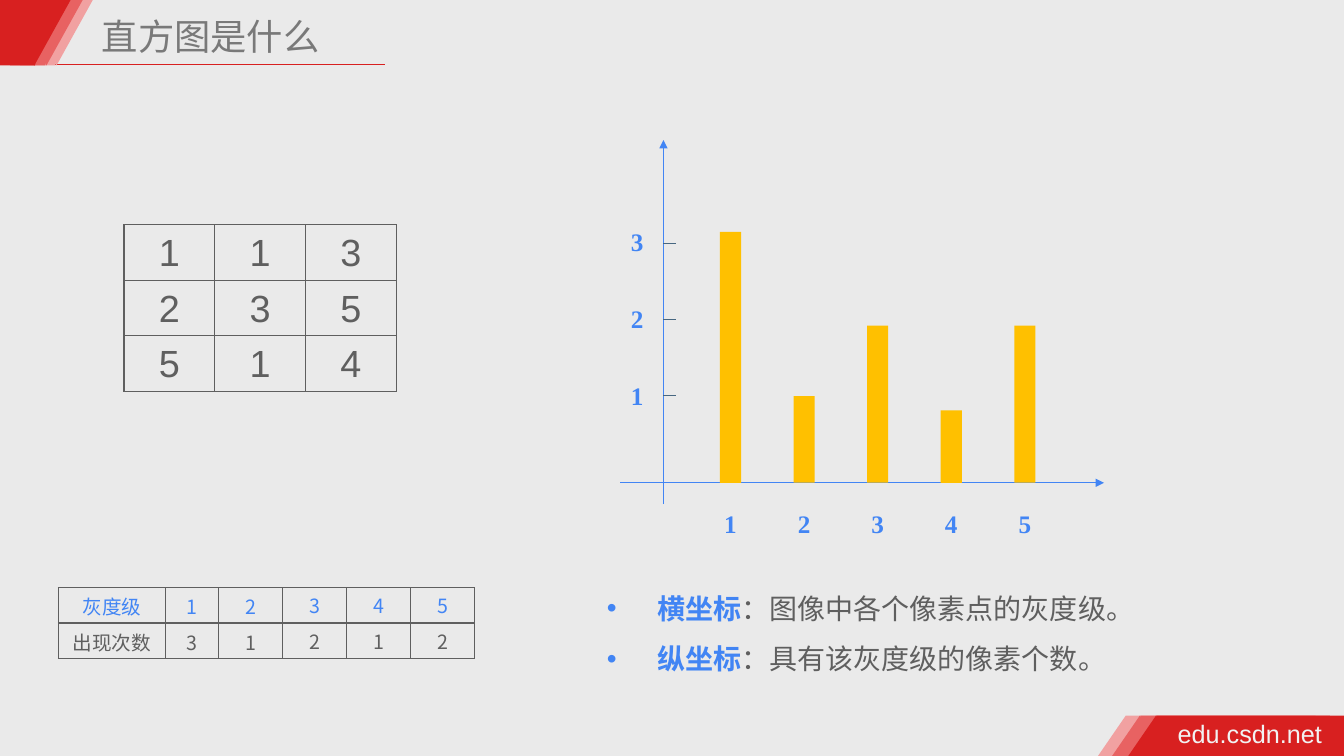
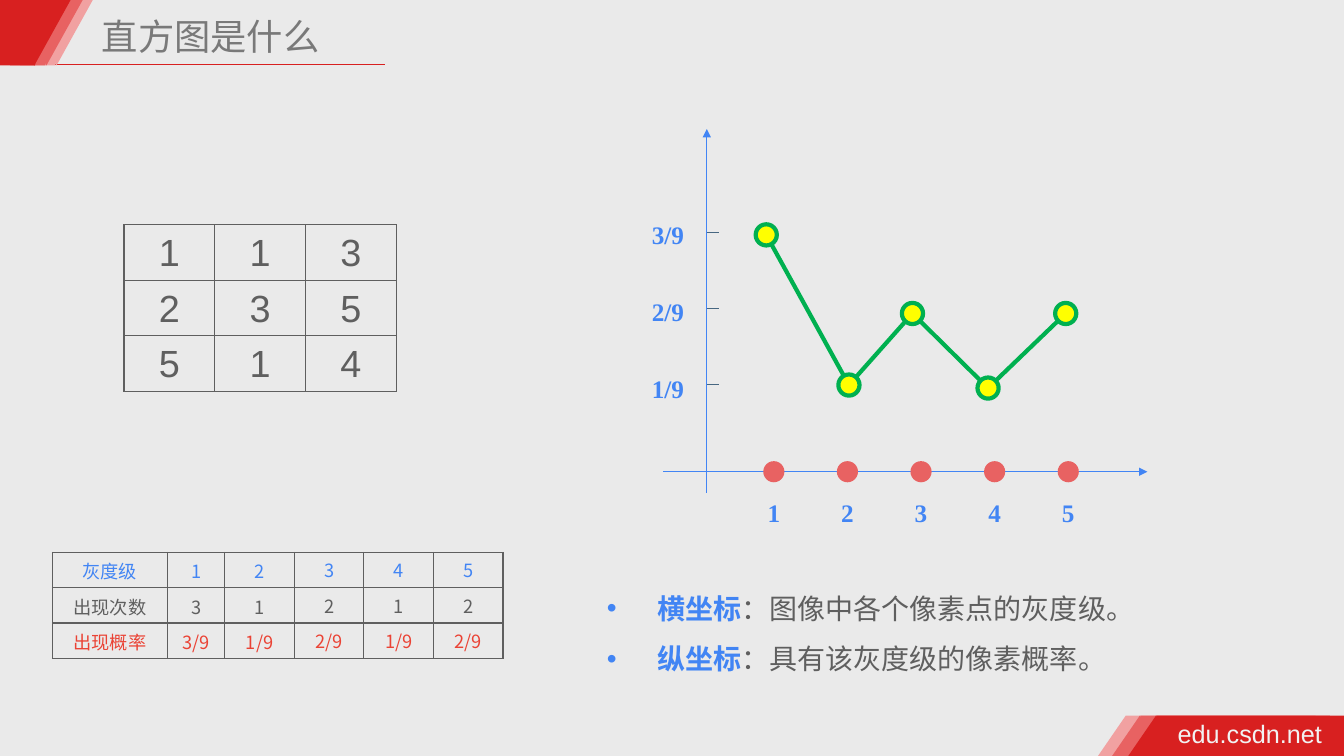
from dataclasses import dataclass

from lxml.etree import SubElement
from pptx import Presentation
from pptx.dml.color import RGBColor
from pptx.enum.shapes import MSO_CONNECTOR as Connector, MSO_SHAPE as Preset
from pptx.enum.text import MSO_ANCHOR as Anchor, PP_ALIGN as Align
from pptx.oxml.ns import qn
from pptx.util import Inches, Pt

Point = tuple[float, float]

# Shared look
BACKGROUND = "EAEAEA"
RED, MID_RED, PALE_RED = "D82020", "E86262", "F1A1A1"
BLUE, GREY, TITLE_GREY, TICK_BLUE = "4285F4", "5F5F5F", "797979", "476781"
AMBER, GREEN, YELLOW, ALERT, OFF_WHITE = "FFC000", "00B050", "FFFF00", "EA4335", "F2F2F2"
SANS, CHINESE, SERIF = "Arial", "Noto Sans CJK SC", "Times New Roman"

# Plot geometry, measured from the origin of the axes
FIRST_LEVEL, LEVEL_STEP = 0.665, 0.73
FIRST_TICK, TICK_STEP, TICK_LENGTH = 0.87, 0.75, 0.12
LABEL_STEP, LABEL_WIDTH, LABEL_HEIGHT = 0.76, 0.71, 0.4
MARK_SIZE = 0.21


@dataclass
class TextStyle:
    font: str
    size: float
    color: str
    bold: bool = False


@dataclass
class Grid:
    left: float
    top: float
    columns: list[float]
    row_height: float
    rows: list[list[str]]
    row_colors: list[str]
    font: str
    size: float


@dataclass
class Axes:
    x: float
    y: float
    tick_labels: list[str]
    label_offset: float
    label_rise: float

    def level_x(self, index: int) -> float:
        return self.x + FIRST_LEVEL + index * LEVEL_STEP


TITLE_STYLE = TextStyle(CHINESE, 25.9, TITLE_GREY)
FOOTER_STYLE = TextStyle(SANS, 18, OFF_WHITE)
AXIS_STYLE = TextStyle(SERIF, 18, BLUE, True)
TERM_STYLE = TextStyle(CHINESE, 20, BLUE, True)
MEANING_STYLE = TextStyle(CHINESE, 20, GREY)

# Slide content
LEVELS = ["灰度级", "1", "2", "3", "4", "5"]
COUNTS = ["出现次数", "3", "1", "2", "1", "2"]
CHANCES = ["出现概率", "3/9", "1/9", "2/9", "1/9", "2/9"]
PIXEL_GRID = Grid(1.23, 2.23, [0.9] * 3, 0.55,
                  [["1", "1", "3"], ["2", "3", "5"], ["5", "1", "4"]],
                  [GREY] * 3, SANS, 27)
COUNT_GRID = Grid(0.58, 5.83, [1.06, 0.53] + [0.635] * 4, 0.35,
                  [LEVELS, COUNTS], [BLUE, GREY], CHINESE, 14)
CHANCE_GRID = Grid(0.52, 5.48, [1.14, 0.57] + [0.69] * 4, 0.35,
                   [LEVELS, COUNTS, CHANCES], [BLUE, GREY, ALERT], CHINESE, 13)
COUNT_AXES = Axes(6.58, 4.79, ["1", "2", "3"], 0.26, 1.07)
CHANCE_AXES = Axes(7.01, 4.68, ["1/9", "2/9", "3/9"], 0.385, 1.03)
BAR_HEIGHTS = [2.49, 0.86, 1.56, 0.72, 1.56]
CURVE_POINTS = [(7.6, 2.33), (8.42, 3.82), (9.05, 3.11), (9.8, 3.85), (10.57, 3.11)]


def rgb(color: str) -> RGBColor:
    return RGBColor.from_string(color)


def style_run(run, style: TextStyle) -> None:
    font = run.font
    font.name, font.size, font.bold = style.font, Pt(style.size), style.bold
    font.color.rgb = rgb(style.color)
    SubElement(run._r.get_or_add_rPr(), qn("a:ea"), typeface=style.font)


def add_box(slide, left: float, top: float, width: float, height: float,
            margin: float | None = None):
    frame = slide.shapes.add_textbox(
        Inches(left), Inches(top), Inches(width), Inches(height)).text_frame
    frame.word_wrap = True
    if margin is not None:
        frame.margin_left = frame.margin_right = Inches(margin)
        frame.margin_top = frame.margin_bottom = Inches(margin)
    return frame


def write(frame, text: str, style: TextStyle) -> None:
    frame.text = text
    style_run(frame.paragraphs[0].runs[0], style)


def add_label(slide, center: float, top: float, text: str) -> None:
    frame = add_box(slide, center - LABEL_WIDTH / 2, top, LABEL_WIDTH, LABEL_HEIGHT)
    write(frame, text, AXIS_STYLE)
    frame.paragraphs[0].alignment = Align.CENTER


def add_figure(slide, preset, left: float, top: float, width: float, height: float,
               fill: str, line: str | None = None):
    shape = slide.shapes.add_shape(
        preset, Inches(left), Inches(top), Inches(width), Inches(height))
    shape.shadow.inherit = False
    shape.fill.solid()
    shape.fill.fore_color.rgb = rgb(fill)
    if line:
        shape.line.color.rgb = rgb(line)
        shape.line.width = Pt(3)
    else:
        shape.line.fill.background()
    return shape


def add_dot(slide, center: Point, fill: str, line: str | None = None) -> None:
    x, y = center
    add_figure(slide, Preset.OVAL, x - MARK_SIZE / 2, y - MARK_SIZE / 2,
               MARK_SIZE, MARK_SIZE, fill, line)


def add_line(slide, start: Point, end: Point, color: str, width: float = 0.75,
             arrow: bool = False) -> None:
    connector = slide.shapes.add_connector(
        Connector.STRAIGHT, *(Inches(value) for value in (*start, *end)))
    connector.line.color.rgb = rgb(color)
    connector.line.width = Pt(width)
    properties = connector.element.spPr
    if arrow:
        SubElement(properties.find(qn("a:ln")), qn("a:tailEnd"), type="triangle")
    SubElement(properties, qn("a:effectLst"))


def add_frame(slide) -> None:
    """Title, underline, corner band and footer band."""
    add_line(slide, (0.49, 0.64), (3.82, 0.64), RED, 1)
    for left, color in ((10.89, PALE_RED), (11.03, MID_RED), (11.19, RED)):
        add_figure(slide, Preset.RECTANGLE, left + 0.28, 7.1, 1.88, 0.4, color)
        add_figure(slide, Preset.ISOSCELES_TRIANGLE, left, 7.1, 0.55, 0.4, color)
    for left, color in ((0.2, PALE_RED), (0.1, MID_RED), (-0.02, RED)):
        add_figure(slide, Preset.RECTANGLE, max(left, 0), 0, 0.35, 0.65, color)
        wedge = add_figure(slide, Preset.ISOSCELES_TRIANGLE, left, 0, 0.72, 0.65, color)
        wedge.rotation = 180
    footer = add_box(slide, 11.63, 7.08, 1.55, 0.4, 0.05)
    footer.word_wrap = False
    write(footer, "edu.csdn.net", FOOTER_STYLE)
    title = add_box(slide, 0.96, 0.05, 3.86, 0.56, 0.05)
    write(title, "直方图是什么", TITLE_STYLE)
    title.paragraphs[0].line_spacing = 1.1


def add_borders(cell) -> None:
    properties = cell._tc.get_or_add_tcPr()
    for index, side in enumerate(("a:lnL", "a:lnR", "a:lnT", "a:lnB")):
        border = SubElement(properties, qn(side), w=str(Pt(1)))
        fill = SubElement(border, qn("a:solidFill"))
        SubElement(fill, qn("a:srgbClr"), val=GREY)
        properties.insert(index, border)


def add_grid(slide, grid: Grid) -> None:
    table = slide.shapes.add_table(
        len(grid.rows), len(grid.columns), Inches(grid.left), Inches(grid.top),
        Inches(sum(grid.columns)), Inches(grid.row_height * len(grid.rows))).table
    table.first_row = table.horz_banding = False
    for column, width in zip(table.columns, grid.columns):
        column.width = Inches(width)
    for row, texts, color in zip(table.rows, grid.rows, grid.row_colors):
        row.height = Inches(grid.row_height)
        for index, (cell, text) in enumerate(zip(row.cells, texts)):
            margin = Inches(0.02 if index < 3 else 0)
            cell.margin_left = cell.margin_right = cell.margin_top = margin
            cell.margin_bottom = 0
            cell.vertical_anchor = Anchor.MIDDLE
            cell.fill.background()
            add_borders(cell)
            write(cell.text_frame, text, TextStyle(grid.font, grid.size, color))
            cell.text_frame.paragraphs[0].alignment = Align.CENTER


def add_definitions(slide, definitions: list[tuple[str, str]]) -> None:
    frame = add_box(slide, 5.92, 5.65, 5.66, 1.05)
    for index, (term, meaning) in enumerate(definitions):
        paragraph = frame.add_paragraph() if index else frame.paragraphs[0]
        properties = paragraph._p.get_or_add_pPr()
        properties.set("marL", str(Inches(0.5)))
        properties.set("indent", str(-Inches(0.5)))
        SubElement(properties, qn("a:buFont"), typeface=SANS)
        SubElement(properties, qn("a:buChar"), char="•")
        paragraph.line_spacing = 1.5
        for text, style in ((term, TERM_STYLE), (meaning, MEANING_STYLE)):
            run = paragraph.add_run()
            run.text = text
            style_run(run, style)


def add_axes(slide, axes: Axes) -> None:
    x, y = axes.x, axes.y
    add_line(slide, (x - 0.43, y), (x + 4.37, y), BLUE, arrow=True)
    add_line(slide, (x, y + 0.21), (x, y - 3.4), BLUE, arrow=True)
    for index, text in enumerate(axes.tick_labels):
        tick_y = y - FIRST_TICK - index * TICK_STEP
        add_line(slide, (x, tick_y), (x + TICK_LENGTH, tick_y), TICK_BLUE)
        add_label(slide, x - axes.label_offset,
                  y - axes.label_rise - index * LABEL_STEP, text)
    for index, level in enumerate(LEVELS[1:]):
        add_label(slide, axes.level_x(index), y + 0.2, level)


def add_bars(slide, axes: Axes, heights: list[float]) -> None:
    for index, height in enumerate(heights):
        add_figure(slide, Preset.RECTANGLE, axes.level_x(index) - MARK_SIZE / 2,
                   axes.y - height, MARK_SIZE, height, AMBER)


def add_curve(slide, points: list[Point]) -> None:
    corners = [(Inches(x), Inches(y)) for x, y in points]
    builder = slide.shapes.build_freeform(*corners[0])
    builder.add_line_segments(corners[1:], close=False)
    curve = builder.convert_to_shape()
    curve.shadow.inherit = False
    curve.fill.background()
    curve.line.color.rgb = rgb(GREEN)
    curve.line.width = Pt(3)
    for point in points:
        add_dot(slide, point, YELLOW, GREEN)


def add_histogram_slide(presentation, grid: Grid, axes: Axes, meaning: str):
    slide = presentation.slides.add_slide(presentation.slide_layouts[6])
    add_frame(slide)
    add_grid(slide, PIXEL_GRID)
    add_grid(slide, grid)
    add_definitions(slide, [("横坐标", "：图像中各个像素点的灰度级。"),
                            ("纵坐标", meaning)])
    add_axes(slide, axes)
    return slide


def main() -> None:
    presentation = Presentation()
    presentation.slide_width, presentation.slide_height = Inches(13.33), Inches(7.5)
    background = presentation.slide_master.background.fill
    background.solid()
    background.fore_color.rgb = rgb(BACKGROUND)

    # Histogram of counts
    slide = add_histogram_slide(presentation, COUNT_GRID, COUNT_AXES,
                                "：具有该灰度级的像素个数。")
    add_bars(slide, COUNT_AXES, BAR_HEIGHTS)

    # Histogram of probabilities
    slide = add_histogram_slide(presentation, CHANCE_GRID, CHANCE_AXES,
                                "：具有该灰度级的像素概率。")
    for index in range(len(CURVE_POINTS)):
        add_dot(slide, (CHANCE_AXES.level_x(index), CHANCE_AXES.y), MID_RED)
    add_curve(slide, CURVE_POINTS)

    presentation.save("out.pptx")


if __name__ == "__main__":
    main()
